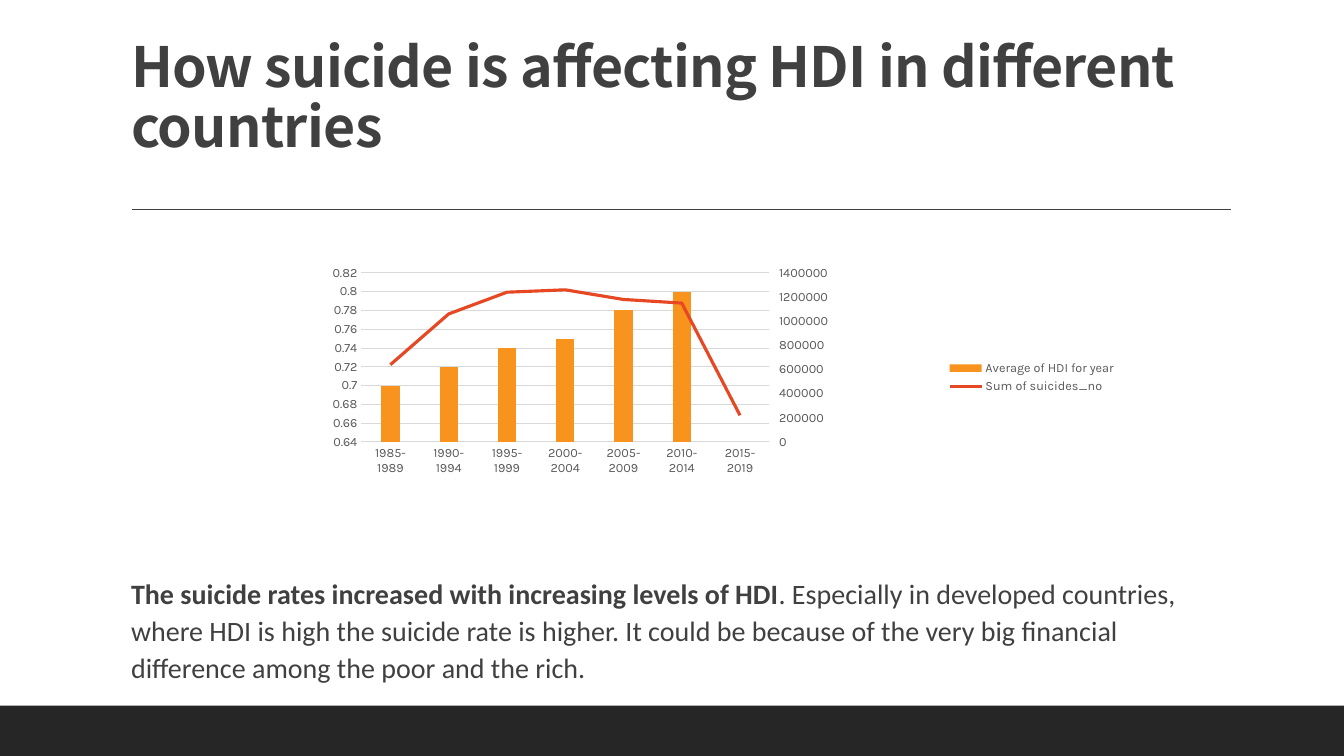
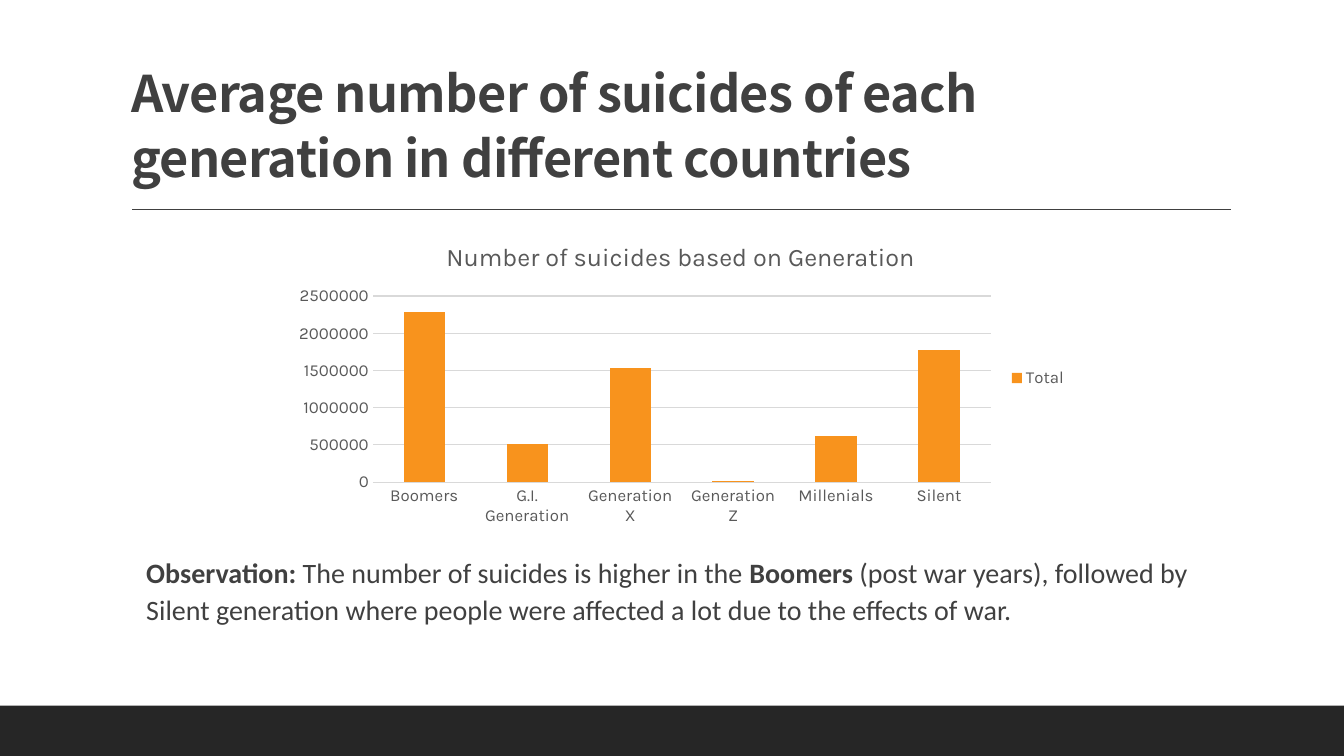
"""Builds two slides on suicide numbers by HDI and by generation."""
from pptx import Presentation
from pptx.chart.axis import ValueAxis
from pptx.chart.data import CategoryChartData
from pptx.dml.color import RGBColor
from pptx.enum.chart import XL_CHART_TYPE, XL_LEGEND_POSITION, XL_MARKER_STYLE, XL_TICK_MARK
from pptx.enum.shapes import MSO_CONNECTOR, MSO_SHAPE
from pptx.enum.text import MSO_ANCHOR, MSO_AUTO_SIZE, PP_ALIGN
from pptx.oxml import parse_xml
from pptx.oxml.ns import nsdecls, qn
from pptx.util import Inches, Pt

COLORS = {k: RGBColor.from_string(v) for k, v in {
    "band": "262626", "text": "404040", "label": "595959", "grid": "D9D9D9",
    "bar": "F8931D", "line": "E64823"}.items()}
TITLE_FONT, BODY_FONT, CHART_FONT = "Noto Sans CJK SC", "Calibri", "Karla"

SLIDES = [
    {"title": "How suicide is affecting HDI in different countries",
     "title_size": 39.6, "title_spacing": 0.9, "title_height": 1.32,
     "body": [("The suicide rates increased with increasing levels of HDI", True),
              (". Especially in developed countries, where HDI is high the suicide rate is higher. "
               "It could be because of the very big financial difference among the poor and the rich.", False)],
     "body_at": (1.3, 5.64),
     "chart_at": (2.74, 2.22, 8.43, 3.05), "label_size": 9, "gap": 219, "overlap": -27,
     "categories": ["1985-1989", "1990-1994", "1995-1999", "2000-2004", "2005-2009", "2010-2014", "2015-2019"],
     "series": [("Average of HDI for year", [0.7, 0.72, 0.74, 0.75, 0.78, 0.8, None]),
                ("Sum of suicides_no", [640000, 1060000, 1240000, 1260000, 1180000, 1150000, 220000])],
     "scale": (0.64, 0.82, 0.02), "chart_title": None},
    {"title": "Average number of suicides of each generation in different countries",
     "title_size": 36, "title_spacing": 1.07, "title_height": 1.6,
     "body": [("Observation:", True), (" The number of suicides is higher in the ", False), ("Boomers", True),
              (" (post war years), followed by Silent generation where people were affected a lot "
               "due to the effects of war.", False)],
     "body_at": (1.45, 5.43),
     "chart_at": (2.81, 2.22, 7.88, 3.06), "label_size": 12, "gap": 150, "overlap": 0,
     "categories": ["Boomers", "G.I. Generation", "Generation X", "Generation Z", "Millenials", "Silent"],
     "series": [("Total", [2280000, 510000, 1530000, 20000, 620000, 1780000])],
     "scale": (0, 2500000, 500000), "chart_title": "Number of suicides based on Generation"},
]


def style_font(font, name, size, color, bold=False):
    font.name, font.size, font.bold = name, Pt(size), bold
    font.color.rgb = COLORS[color]


def move_to_line(chart):
    """Moves the last series to a line on a right-hand axis, which is returned."""
    plot_area = chart.plots[0].series[0]._element.getparent().getparent()
    bars = plot_area.find(qn("c:barChart"))
    ser = bars.findall(qn("c:ser"))[-1]
    for invert in ser.findall(qn("c:invertIfNegative")):
        ser.remove(invert)
    line_chart = parse_xml(
        f'<c:lineChart {nsdecls("c")}><c:grouping val="standard"/><c:varyColors val="0"/>'
        '<c:marker val="1"/><c:axId val="501"/><c:axId val="502"/></c:lineChart>')
    line_chart.insert(2, ser)
    bars.addnext(line_chart)
    val_axis = parse_xml(
        f'<c:valAx {nsdecls("c")}><c:axId val="502"/><c:scaling><c:orientation val="minMax"/></c:scaling>'
        '<c:delete val="0"/><c:axPos val="r"/><c:numFmt formatCode="General" sourceLinked="0"/>'
        '<c:majorTickMark val="out"/><c:minorTickMark val="none"/><c:tickLblPos val="nextTo"/>'
        '<c:crossAx val="501"/><c:crosses val="max"/></c:valAx>')
    cat_axis = parse_xml(
        f'<c:catAx {nsdecls("c")}><c:axId val="501"/><c:scaling><c:orientation val="minMax"/></c:scaling>'
        '<c:delete val="1"/><c:axPos val="b"/><c:crossAx val="502"/></c:catAx>')
    plot_area.find(qn("c:valAx")).addnext(val_axis)
    val_axis.addnext(cat_axis)
    for layout in plot_area.findall(qn("c:layout")):
        plot_area.remove(layout)
    plot_area.insert(0, parse_xml(
        f'<c:layout {nsdecls("c")}><c:manualLayout><c:layoutTarget val="inner"/>'
        '<c:xMode val="edge"/><c:yMode val="edge"/><c:x val="0.1"/><c:y val="0.16"/>'
        '<c:w val="0.48"/><c:h val="0.55"/></c:manualLayout></c:layout>'))
    series = chart.plots[1].series[0]
    series.smooth = False
    series.marker.style = XL_MARKER_STYLE.NONE
    series.format.line.color.rgb = COLORS["line"]
    series.format.line.width = Pt(2.25)
    axis = ValueAxis(val_axis)
    axis.minimum_scale, axis.maximum_scale, axis.major_unit = 0, 1400000, 200000
    axis.format.line.fill.background()
    return axis


prs = Presentation()
prs.slide_width, prs.slide_height = Inches(13.33), Inches(7.5)
layout = prs.slide_layouts[1]

for number, data in enumerate(SLIDES):
    s = prs.slides.add_slide(layout)
    if number == 0:
        band = s.shapes.add_shape(MSO_SHAPE.RECTANGLE, 0, Inches(7), prs.slide_width, Inches(0.5))
        band.shadow.inherit = False
        band.fill.solid()
        band.fill.fore_color.rgb = COLORS["band"]
        band.line.fill.background()
        rule = s.shapes.add_connector(
            MSO_CONNECTOR.STRAIGHT, Inches(1.31), Inches(2.08), Inches(12.21), Inches(2.08))
        rule.line.color.rgb = COLORS["text"]
        rule.line.width = Pt(1)
        rule._element.spPr.append(parse_xml(f'<a:effectLst {nsdecls("a")}/>'))
        for sp in (band, rule):
            layout.shapes._spTree.append(sp._element)

    title, body = s.placeholders
    title.left, title.top = Inches(1.2), Inches(0.31)
    title.width, title.height = Inches(11), Inches(data["title_height"])
    tf = title.text_frame
    tf.text = data["title"]
    tf.auto_size = MSO_AUTO_SIZE.NONE
    tf.vertical_anchor = MSO_ANCHOR.BOTTOM
    p = tf.paragraphs[0]
    p.alignment = PP_ALIGN.LEFT
    p.line_spacing = data["title_spacing"]
    style_font(p.runs[0].font, TITLE_FONT, data["title_size"], "text", True)
    p.runs[0].font._element.set("spc", "-50")

    left, top = data["body_at"]
    body.left, body.top = Inches(left), Inches(top)
    body.width, body.height = Inches(12.2 - left), Inches(1.25)
    tf = body.text_frame
    tf.auto_size = MSO_AUTO_SIZE.NONE
    tf.margin_left = tf.margin_right = 0
    p = tf.paragraphs[0]
    p.line_spacing, p.space_before = 1.1, Pt(0)
    pPr = p._p.get_or_add_pPr()
    pPr.set("marL", "0")
    pPr.set("indent", "0")
    pPr.append(parse_xml(f'<a:buNone {nsdecls("a")}/>'))
    for text, bold in data["body"]:
        r = p.add_run()
        r.text = text
        style_font(r.font, BODY_FONT, 20, "text", bold)

    chart_data = CategoryChartData()
    chart_data.categories = data["categories"]
    for name, values in data["series"]:
        chart_data.add_series(name, values)
    chart = s.shapes.add_chart(
        XL_CHART_TYPE.COLUMN_CLUSTERED, *map(Inches, data["chart_at"]), chart_data).chart
    style_font(chart.font, CHART_FONT, data["label_size"], "label")
    plot = chart.plots[0]
    plot.gap_width, plot.overlap = data["gap"], data["overlap"]
    plot.vary_by_categories = False
    fill = plot.series[0].format.fill
    fill.solid()
    fill.fore_color.rgb = COLORS["bar"]

    cat, val = chart.category_axis, chart.value_axis
    cat.major_tick_mark = val.major_tick_mark = XL_TICK_MARK.NONE
    cat.format.line.color.rgb = COLORS["grid"]
    val.format.line.fill.background()
    val.minimum_scale, val.maximum_scale, val.major_unit = data["scale"]
    val.major_gridlines.format.line.color.rgb = COLORS["grid"]
    val.major_gridlines.format.line.width = Pt(0.75)
    axes = [cat, val]
    if len(data["series"]) > 1:
        axes.append(move_to_line(chart))
    for axis in axes:
        style_font(axis.tick_labels.font, CHART_FONT, data["label_size"], "label")

    chart.has_legend = True
    chart.legend.position = XL_LEGEND_POSITION.RIGHT
    chart.legend.include_in_layout = False
    style_font(chart.legend.font, CHART_FONT, data["label_size"], "label")
    chart.has_title = data["chart_title"] is not None
    if chart.has_title:
        tf = chart.chart_title.text_frame
        tf.text = data["chart_title"]
        style_font(tf.paragraphs[0].runs[0].font, CHART_FONT, 18, "label")

prs.save("out.pptx")
